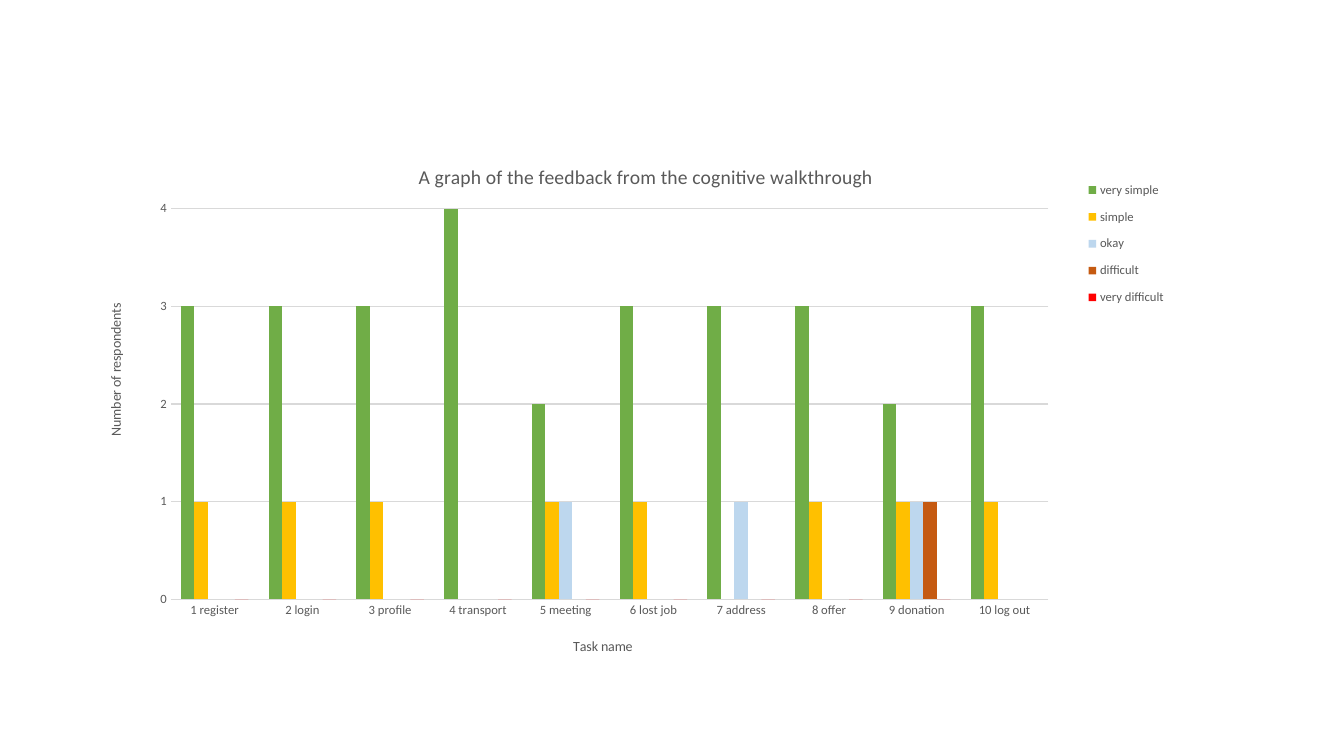
from lxml.etree import SubElement
from pptx import Presentation
from pptx.chart.data import CategoryChartData
from pptx.dml.color import RGBColor
from pptx.enum.chart import XL_CHART_TYPE, XL_LEGEND_POSITION, XL_TICK_MARK
from pptx.oxml.ns import qn
from pptx.util import Emu, Pt

PX = 914400 / 100.8
FONT = "Calibri"
COLORS = {
    "text": "595959",
    "grid": "D9D9D9",
    "very simple": "70AD47",
    "simple": "FFC000",
    "okay": "BDD7EE",
    "difficult": "C55A11",
    "very difficult": "FF0000",
}
TASKS = ["1 register", "2 login", "3 profile", "4 transport", "5 meeting",
         "6 lost job", "7 address", "8 offer", "9 donation", "10 log out"]
RATINGS = {
    "very simple": [3, 3, 3, 4, 2, 3, 3, 3, 2, 3],
    "simple": [1, 1, 1, None, 1, 1, None, 1, 1, 1],
    "okay": [None, None, None, None, 1, None, 1, None, 1, None],
    "difficult": [None] * 8 + [1, None],
    "very difficult": [0] * 9 + [None],
}


def px(length):
    return Emu(round(length * PX))


def rgb(name):
    return RGBColor.from_string(COLORS[name])


def style_font(font, size):
    for name, value in {"name": FONT, "size": Pt(size), "bold": False}.items():
        setattr(font, name, value)
    font.color.rgb = rgb("text")


def style_line(line):
    line.color.rgb = rgb("grid")
    line.width = Pt(0.75)


def place(element, inner=False, **fractions):
    """Fix a chart part at x, y (and w, h) given as fractions of the chart."""
    for old in element.findall(qn("c:layout")):
        element.remove(old)
    layout = SubElement(element, qn("c:layout"))
    manual = SubElement(layout, qn("c:manualLayout"))
    if inner:
        SubElement(manual, qn("c:layoutTarget")).set("val", "inner")
    for side in "xy":
        SubElement(manual, qn(f"c:{side}Mode")).set("val", "edge")
    for key, value in fractions.items():
        SubElement(manual, qn(f"c:{key}")).set("val", str(value))
    overlay = element.find(qn("c:overlay"))
    if overlay is None:
        element.insert(0, layout)
    else:
        overlay.addprevious(layout)


def add_title(title, text, size, x, y):
    title.text_frame.text = text
    style_font(title.text_frame.paragraphs[0].runs[0].font, size)
    place(title._element, x=x, y=y)


def style_axes(chart):
    tasks, respondents = chart.category_axis, chart.value_axis
    for axis in (tasks, respondents):
        axis.major_tick_mark = axis.minor_tick_mark = XL_TICK_MARK.NONE
        style_font(axis.tick_labels.font, 9)
    style_line(tasks.format.line)
    respondents.format.line.fill.background()
    scale = {"minimum_scale": 0, "maximum_scale": 4, "major_unit": 1,
             "has_major_gridlines": True}
    for name, value in scale.items():
        setattr(respondents, name, value)
    style_line(respondents.major_gridlines.format.line)
    add_title(tasks.axis_title, "Task name", 10, 0.43, 0.915)
    add_title(respondents.axis_title, "Number of respondents", 10, 0.01, 0.3)


def add_legend(chart):
    chart.has_legend = True
    legend = chart.legend
    legend.position = XL_LEGEND_POSITION.RIGHT
    legend.include_in_layout = False
    style_font(legend.font, 9)
    place(legend._element, x=0.88, y=0.06, w=0.1, h=0.27)


def add_feedback_chart(page, left, top, width, height):
    data = CategoryChartData()
    data.categories = TASKS
    for rating, counts in RATINGS.items():
        data.add_series(rating, counts)
    box = [px(length) for length in (left, top, width, height)]
    chart = page.shapes.add_chart(XL_CHART_TYPE.COLUMN_CLUSTERED, *box, data).chart
    chart.font.name = FONT
    chart.font.size = Pt(10)
    add_title(chart.chart_title,
              "A graph of the feedback from the cognitive walkthrough", 14, 0.29, 0.04)
    plot = chart.plots[0]
    for name, value in {"gap_width": 150, "overlap": 0, "vary_by_categories": False}.items():
        setattr(plot, name, value)
    for series in plot.series:
        series.format.fill.solid()
        series.format.fill.fore_color.rgb = rgb(series.name)
        series.invert_if_negative = False
    style_axes(chart)
    add_legend(chart)
    plot_area = chart._chartSpace.chart.plotArea
    place(plot_area, inner=True, x=0.07, y=0.13, w=0.79, h=0.72)


def main():
    deck = Presentation()
    deck.slide_width, deck.slide_height = px(1344), px(756)
    page = deck.slides.add_slide(deck.slide_layouts[6])
    add_feedback_chart(page, 93, 138, 1111, 543)
    deck.save("out.pptx")


if __name__ == "__main__":
    main()
